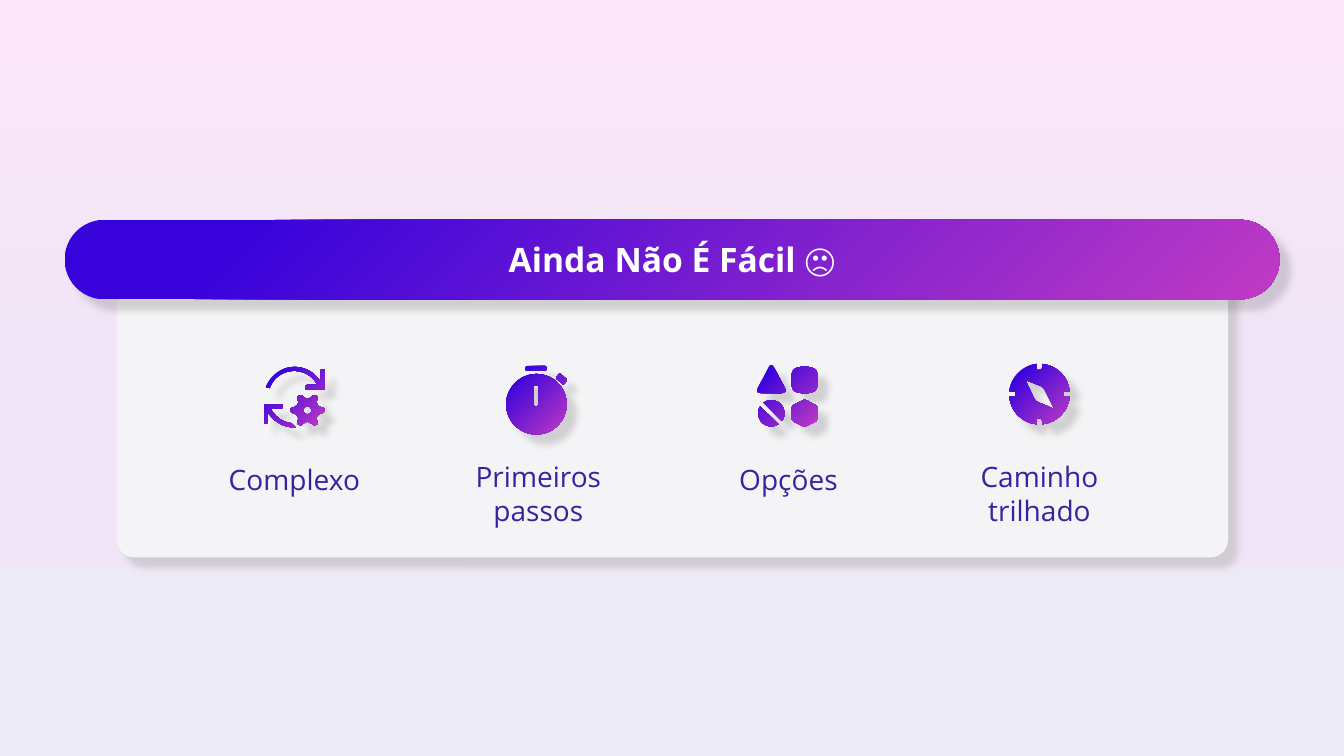
"""Build the slide that lists four reasons why it is not easy yet."""
from dataclasses import dataclass
from math import cos, dist, radians, sin

from pptx import Presentation
from pptx.dml.color import RGBColor
from pptx.enum.shapes import MSO_SHAPE as Preset
from pptx.enum.text import MSO_ANCHOR as Anchor, MSO_AUTO_SIZE as AutoSize, PP_ALIGN as Align
from pptx.oxml import parse_xml
from pptx.oxml.ns import nsdecls, qn
from pptx.oxml.xmlchemy import BaseOxmlElement as Element
from pptx.shapes.autoshape import Shape
from pptx.shapes.shapetree import GroupShapes
from pptx.text.text import TextFrame
from pptx.util import Pt

PX = 9144
Point = tuple[float, float]
Contour = list[Point]
Stops = tuple[tuple[int, str], ...]


@dataclass(frozen=True)
class Shadow:
    color: str
    opacity: int


@dataclass(frozen=True)
class Theme:
    font: str = "Open Sans"
    title_size: int = 24
    label_size: int = 20
    title: str = "FFFFFF"
    label: str = "3A20A0"
    card: str = "F4F3F5"
    backdrop: Stops = ((0, "FCE7F8"), (50, "F0E5F6"), (100, "EDEAF7"))
    glow: Stops = ((0, "C03BC4"), (85, "3803DB"))
    backdrop_course: str = '<a:lin ang="5400000" scaled="0"/>'
    glow_course: str = '<a:path path="circle"><a:fillToRect l="100000" t="100000"/></a:path>'
    card_shadow: Shadow = Shadow("B1B3B3", 50)
    glow_shadow: Shadow = Shadow("454142", 20)


THEME = Theme()


@dataclass(frozen=True)
class Box:
    left: int
    top: int
    width: int
    height: int

    def emu(self) -> tuple[int, int, int, int]:
        return self.left * PX, self.top * PX, self.width * PX, self.height * PX


@dataclass(frozen=True)
class Reason:
    label: str
    box: Box
    icon: list[Contour]


def polar(center: Point, radius: float, angle: float) -> Point:
    return center[0] + radius * cos(radians(angle)), center[1] + radius * sin(radians(angle))


def arc(center: Point, radius: float, start: int, end: int) -> Contour:
    steps = max(2, abs(end - start) // 6)
    return [polar(center, radius, start + (end - start) * i / steps) for i in range(steps + 1)]


def toward(start: Point, end: Point, share: float) -> Point:
    return start[0] + (end[0] - start[0]) * share, start[1] + (end[1] - start[1]) * share


def rounded(corners: Contour, radius: float) -> Contour:
    outline: Contour = []
    for i, corner in enumerate(corners):
        before, after = corners[i - 1], corners[(i + 1) % len(corners)]
        entry = toward(corner, before, min(0.5, radius / dist(corner, before)))
        leave = toward(corner, after, min(0.5, radius / dist(corner, after)))
        for t in (0, 0.2, 0.4, 0.6, 0.8, 1):
            outline.append(toward(toward(entry, corner, t), toward(corner, leave, t), t))
    return outline


def rectangle(left: int, top: int, right: int, bottom: int, radius: float) -> Contour:
    return rounded([(left, top), (right, top), (right, bottom), (left, bottom)], radius)


def cycle_icon() -> list[Contour]:
    loop, gear = (292, 394), (305, 407)
    forward = arc(loop, 30, 199, 330) + [(318, 367), (322, 367), (322, 386), (303, 386), (303, 382)]
    backward = [(265, 420), (262, 420), (262, 401), (280, 401), (280, 405), (268, 405)]
    tooth = ((-7, 17), (7, 17), (15, 13), (30, 11), (45, 13))
    teeth = [polar(gear, radius, 60 * i + turn) for i in range(6) for turn, radius in tooth]
    return [
        forward + arc(loop, 26, 332, 200),
        backward + arc(loop, 26, 155, 97) + arc(loop, 30, 88, 150),
        rounded(teeth, 2),
        arc(gear, 4, 0, 360),
    ]


def stopwatch_icon() -> list[Contour]:
    return [
        arc((532, 401), 30, 0, 360),
        rectangle(529, 382, 534, 403, 2),
        rectangle(521, 363, 542, 368, 2),
        rounded([(555, 370), (563, 377), (559, 382), (551, 375)], 2),
    ]


def choices_icon() -> list[Contour]:
    disc = (765, 410)
    return [
        rounded([(765, 359), (781, 390), (749, 390)], 6),
        rectangle(785, 364, 811, 390, 10),
        arc(disc, 13, -126, 36),
        arc(disc, 13, 57, 212),
        rounded([(798, 396), (811, 403), (811, 417), (798, 424), (785, 417), (785, 403)], 3),
    ]


def compass_icon() -> list[Contour]:
    dial = (1031, 391)
    rim: Contour = []
    for turn in range(0, 360, 90):
        rim += [polar(dial, 24, turn + 6), *arc(dial, 30, turn + 5, turn + 85), polar(dial, 24, turn + 84)]
    return [rim, rounded([(1017, 377), (1035, 384), (1046, 406), (1027, 398)], 3)]


def fill_gradient(properties: Element, stops: Stops, course: str) -> None:
    marks = "".join(f'<a:gs pos="{at * 1000}"><a:srgbClr val="{color}"/></a:gs>' for at, color in stops)
    gradient = parse_xml(
        f'<a:gradFill {nsdecls("a")} rotWithShape="1"><a:gsLst>{marks}</a:gsLst>{course}</a:gradFill>')
    properties.replace(properties.find(qn("a:solidFill")), gradient)


def finish(shape: Shape, shadow: Shadow, color: str = "") -> None:
    shape.fill.solid()
    if color:
        shape.fill.fore_color.rgb = RGBColor.from_string(color)
    else:
        fill_gradient(shape.element.spPr, THEME.glow, THEME.glow_course)
    shape.line.fill.background()
    shape.shadow.inherit = False
    shape.element.spPr.find(qn("a:effectLst")).append(parse_xml(
        f'<a:outerShdw {nsdecls("a")} blurRad="{Pt(5)}" dist="{Pt(10)}" dir="2700000" algn="tl" '
        f'rotWithShape="0"><a:srgbClr val="{shadow.color}">'
        f'<a:alpha val="{shadow.opacity * 1000}"/></a:srgbClr></a:outerShdw>'))


def write(frame: TextFrame, text: str, size: int, color: str, bold: bool = False) -> None:
    frame.text = text
    frame.word_wrap = True
    line = frame.paragraphs[0]
    line.alignment = Align.CENTER
    font = line.runs[0].font
    font.name, font.size, font.bold = THEME.font, Pt(size), bold
    font.color.rgb = RGBColor.from_string(color)


def draw_icon(shapes: GroupShapes, contours: list[Contour]) -> None:
    first, *others = [[(x * PX, y * PX) for x, y in contour] for contour in contours]
    outline = shapes.build_freeform(*first[0], scale=1.0)
    outline.add_line_segments(first[1:], close=True)
    for contour in others:
        outline.move_to(*contour[0])
        outline.add_line_segments(contour[1:], close=True)
    finish(outline.convert_to_shape(), THEME.glow_shadow)


def draw_reason(shapes: GroupShapes, reason: Reason) -> None:
    label = shapes.add_textbox(*reason.box.emu()).text_frame
    write(label, reason.label, THEME.label_size, THEME.label)
    label.auto_size = AutoSize.SHAPE_TO_FIT_TEXT
    draw_icon(shapes, reason.icon)


def main() -> None:
    deck = Presentation()
    deck.slide_width, deck.slide_height = 1333 * PX, 750 * PX
    slide = deck.slides.add_slide(deck.slide_layouts[6])
    slide.background.fill.solid()
    fill_gradient(slide.element.find(f".//{qn('p:bgPr')}"), THEME.backdrop, THEME.backdrop_course)

    panel = slide.shapes.add_group_shape().shapes
    card = panel.add_shape(Preset.ROUNDED_RECTANGLE, *Box(116, 260, 1102, 293).emu())
    card.adjustments[0] = 0.06
    finish(card, THEME.card_shadow, THEME.card)
    for reason in (
        Reason("Complexo", Box(192, 454, 200, 44), cycle_icon()),
        Reason("Primeiros passos", Box(417, 451, 234, 77), stopwatch_icon()),
        Reason("Opções", Box(682, 454, 200, 44), choices_icon()),
        Reason("Caminho trilhado", Box(921, 451, 220, 77), compass_icon()),
    ):
        draw_reason(panel, reason)

    banner = slide.shapes.add_shape(Preset.ROUNDED_RECTANGLE, *Box(64, 218, 1205, 79).emu())
    banner.adjustments[0] = 0.5
    finish(banner, THEME.glow_shadow)
    title = banner.text_frame
    write(title, "Ainda Não É Fácil 🙁", THEME.title_size, THEME.title, bold=True)
    title.vertical_anchor = Anchor.MIDDLE
    title.margin_left = title.margin_right = title.margin_top = title.margin_bottom = 0
    deck.save("out.pptx")


if __name__ == "__main__":
    main()
